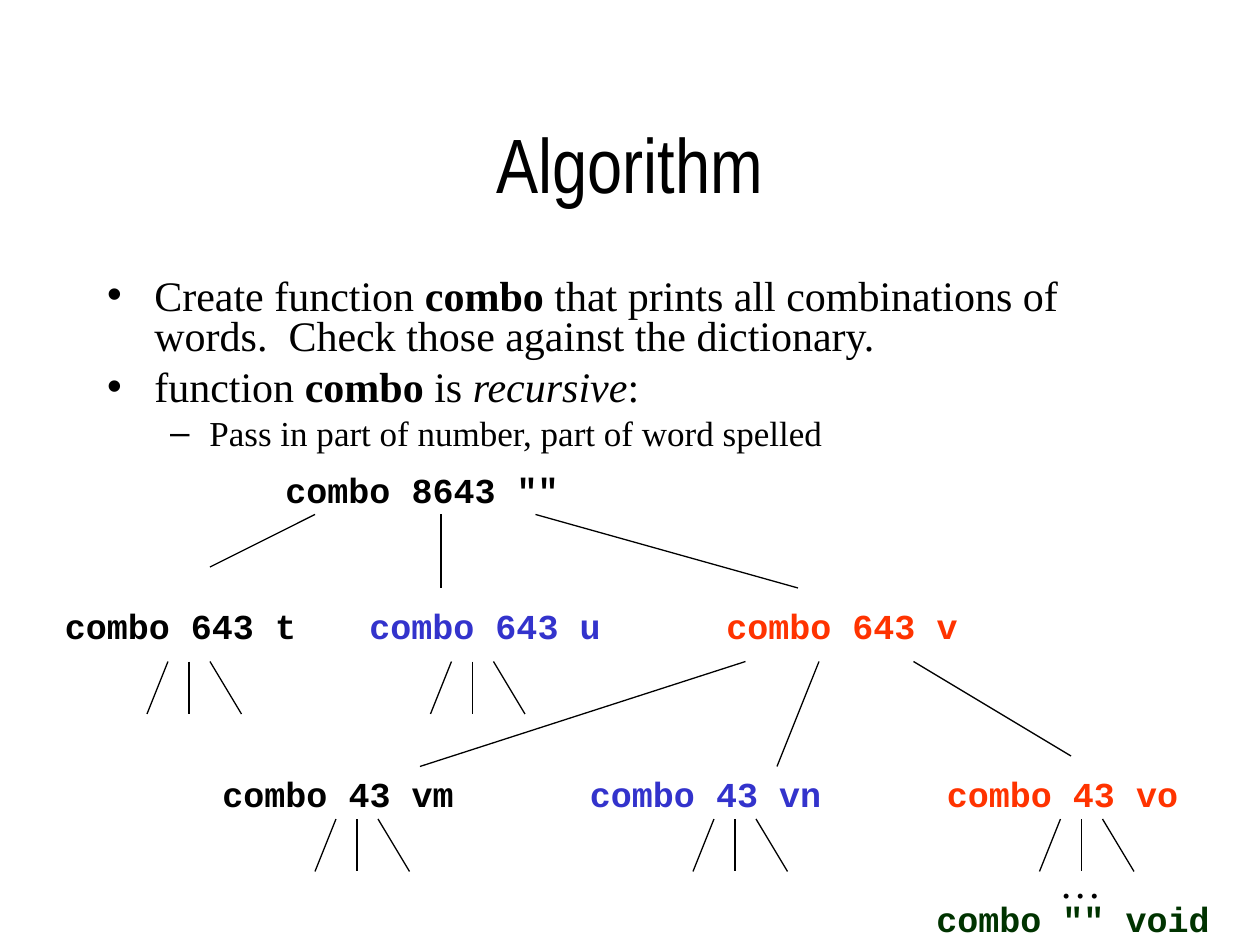
from lxml import etree
from pptx import Presentation
from pptx.dml.color import RGBColor
from pptx.enum.shapes import MSO_CONNECTOR
from pptx.enum.text import MSO_ANCHOR, MSO_AUTO_SIZE, PP_ALIGN
from pptx.oxml.ns import qn
from pptx.util import Emu, Pt

PX = 9525
STRAIGHT = MSO_CONNECTOR.STRAIGHT
MIDDLE, TOP = MSO_ANCHOR.MIDDLE, MSO_ANCHOR.TOP
CENTER, LEFT = PP_ALIGN.CENTER, PP_ALIGN.LEFT
NO_FIT, GROW = MSO_AUTO_SIZE.NONE, MSO_AUTO_SIZE.SHAPE_TO_FIT_TEXT

COLORS = {"black": "000000", "blue": "3333CC", "red": "FF3300", "green": "003300"}
TITLE_FONT = {"name": "Arial Narrow", "size": Pt(44), "bold": False}
BODY_FONT = {"name": "Times New Roman", "size": Pt(24), "bold": False}
SUB_FONT = {**BODY_FONT, "size": Pt(20)}
DOTS_FONT = {**BODY_FONT, "italic": True}
CODE_FONT = {"name": "Courier New", "size": Pt(20), "bold": True}
BOLD, ITALIC = {"bold": True}, {"italic": True}

# Per list level: font, bullet, text indent and hanging indent in px, space before in points
LEVELS = [(BODY_FONT, "•", 36, 36, 6), (SUB_FONT, "–", 78, 30, 5)]

BULLETS = [
    (0, [("Create function ", {}), ("combo", BOLD),
         (" that prints all combinations of words.  "
          "Check those against the dictionary.", {})]),
    (0, [("function ", {}), ("combo", BOLD), (" is ", {}),
         ("recursive", ITALIC), (":", {})]),
    (1, [("Pass in part of number, part of word spelled", {})]),
]

# Text, color, left, top, width
CALLS = [
    ('combo 8643 ""', "black", 208, 352, 360),
    ("combo 643 t", "black", 40, 456, 232),
    ("combo 643 u", "blue", 272, 456, 232),
    ("combo 643 v", "red", 544, 456, 232),
    ("combo 43 vm", "black", 160, 584, 256),
    ("combo 43 vn", "blue", 440, 584, 256),
    ("combo 43 vo", "red", 712, 584, 248),
    ('combo "" void', "green", 704, 679, 280),
]
BRANCHES = [
    (240, 392, 160, 432), (336, 392, 336, 448), (408, 392, 608, 448),
    (568, 504, 320, 584), (624, 504, 592, 584), (696, 504, 816, 576),
]
FAN_TOPS = [(144, 504), (360, 504), (272, 624), (560, 624), (824, 624)]
FAN_OFFSETS = [(-16, -32), (0, 0), (16, 40)]
FAN_HEIGHT = 40


def apply_format(target, values):
    for name, value in values.items():
        setattr(target, name, value)


class SlideBuilder:
    """Holds the current slide and the shared style of its elements."""

    def __init__(self, slide, color="black", line_width=0.75):
        self.slide = slide
        self.color = color
        self.line_width = Pt(line_width)

    def rgb(self, color=None):
        return RGBColor.from_string(COLORS[color or self.color])

    def place(self, shape, left, top, width, height):
        apply_format(shape, {"left": Emu(left * PX), "top": Emu(top * PX),
                             "width": Emu(width * PX), "height": Emu(height * PX)})

    def add_run(self, paragraph, text, font, color=None):
        run = paragraph.add_run()
        run.text = text
        apply_format(run.font, font)
        run.font.color.rgb = self.rgb(color)

    def title(self, text, *box):
        shape = self.slide.shapes.title
        self.place(shape, *box)
        apply_format(shape.text_frame, {"vertical_anchor": MIDDLE, "auto_size": NO_FIT})
        paragraph = shape.text_frame.paragraphs[0]
        paragraph.alignment = CENTER
        self.add_run(paragraph, text, TITLE_FONT)

    def bullet_list(self, items, *box):
        shape = self.slide.placeholders[1]
        self.place(shape, *box)
        frame = shape.text_frame
        apply_format(frame, {"vertical_anchor": TOP, "auto_size": NO_FIT})
        for index, (level, runs) in enumerate(items):
            paragraph = frame.add_paragraph() if index else frame.paragraphs[0]
            font, bullet, indent, hanging, space = LEVELS[level]
            apply_format(paragraph, {"level": level, "alignment": LEFT,
                                     "line_spacing": 0.8, "space_before": Pt(space)})
            properties = paragraph._p.get_or_add_pPr()
            properties.set("marL", str(indent * PX))
            properties.set("indent", str(-hanging * PX))
            etree.SubElement(properties, qn("a:buChar"), char=bullet)
            for text, emphasis in runs:
                self.add_run(paragraph, text, {**font, **emphasis})

    def label(self, text, color, font, space_before, *box):
        shape = self.slide.shapes.add_textbox(0, 0, 0, 0)
        self.place(shape, *box)
        apply_format(shape.text_frame, {"word_wrap": True, "auto_size": GROW})
        paragraph = shape.text_frame.paragraphs[0]
        paragraph.space_before = Pt(space_before)
        self.add_run(paragraph, text, font, color)

    def line(self, *ends):
        connector = self.slide.shapes.add_connector(
            STRAIGHT, *(Emu(value * PX) for value in ends))
        connector.line.color.rgb = self.rgb()
        connector.line.width = self.line_width
        etree.SubElement(connector._element.spPr, qn("a:effectLst"))

    def fan(self, center, top):
        """Draws three short lines that spread out below a call."""
        for start, end in FAN_OFFSETS:
            self.line(center + start, top, center + end, top + FAN_HEIGHT)


def main():
    presentation = Presentation()
    presentation.slide_width = Emu(960 * PX)
    presentation.slide_height = Emu(720 * PX)
    slide = presentation.slides.add_slide(presentation.slide_layouts[1])
    builder = SlideBuilder(slide)

    builder.title("Algorithm", 72, 64, 816, 120)
    builder.bullet_list(BULLETS, 72, 208, 816, 144)
    for text, color, left, top, width in CALLS:
        builder.label(text, color, CODE_FONT, 12.5, left, top, width, 42)
    for branch in BRANCHES:
        builder.line(*branch)
    for center, top in FAN_TOPS:
        builder.fan(center, top)
    builder.label("…", "black", DOTS_FONT, 15, 800, 648, 80, 48)

    presentation.save("out.pptx")


if __name__ == "__main__":
    main()
